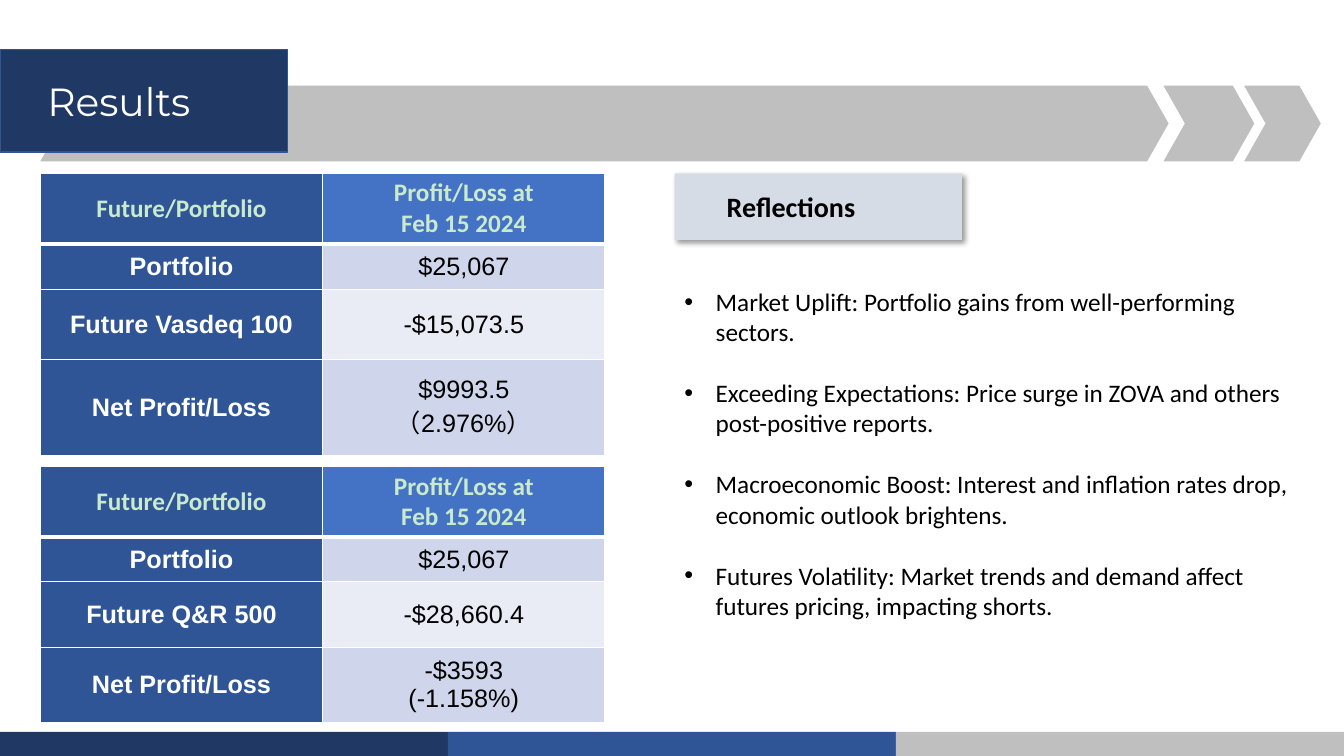
"""Build the Results slide: two profit and loss tables beside a list of reflections."""
from lxml import etree
from pptx import Presentation
from pptx.dml.color import RGBColor
from pptx.enum.shapes import MSO_SHAPE
from pptx.enum.text import MSO_ANCHOR, PP_ALIGN
from pptx.oxml import parse_xml
from pptx.util import Inches, Pt

RECTANGLE, CHEVRON = MSO_SHAPE.RECTANGLE, MSO_SHAPE.CHEVRON
MIDDLE, CENTER = MSO_ANCHOR.MIDDLE, PP_ALIGN.CENTER
NS = "http://schemas.openxmlformats.org/drawingml/2006/main"

WHITE, BLACK, GREY, MINT = "FFFFFF", "000000", "BFBFBF", "CAEACE"
NAVY, BLUE, BRIGHT_BLUE = "203864", "2F5597", "4472C4"
BAND_DARK, BAND_LIGHT, PALE = "CFD5EA", "E9EBF5", "D6DCE5"

SLIDE_WIDTH, SLIDE_HEIGHT, FOOTER_HEIGHT = 13.33, 7.5, 0.24
FOOTER_COLOURS = [NAVY, BLUE, GREY]
CHEVRONS = [(0.4, 11.19), (11.54, 0.9), (12.34, 0.76)]
HEADER = ("Future/Portfolio", "Profit/Loss at\nFeb 15 2024")
RESULTS = [
    {
        "top": 1.72,
        "heights": [0.7, 0.45, 0.7, 0.95],
        "rows": [
            HEADER,
            ("Portfolio", "$25,067"),
            ("Future Vasdeq 100", "-$15,073.5"),
            ("Net Profit/Loss", "$9993.5\n（2.976%）"),
        ],
    },
    {
        "top": 4.63,
        "heights": [0.7, 0.44, 0.65, 0.75],
        "rows": [
            HEADER,
            ("Portfolio", "$25,067"),
            ("Future Q&R 500", "-$28,660.4"),
            ("Net Profit/Loss", "-$3593\n(-1.158%)"),
        ],
    },
]
REFLECTIONS = [
    "Market Uplift: Portfolio gains from well-performing sectors.",
    "Exceeding Expectations: Price surge in ZOVA and others post-positive reports.",
    "Macroeconomic Boost: Interest and inflation rates drop, economic outlook brightens.",
    "Futures Volatility: Market trends and demand affect futures pricing, impacting shorts.",
]
TITLE_FONT = {"name": "Montserrat", "size": Pt(28), "bold": False}
HEADING_FONT = {"name": "Calibri", "size": Pt(20), "bold": True}
BODY_FONT = {"name": "Calibri", "size": Pt(18), "bold": False}
HEADER_FONT = {"name": "Calibri", "size": Pt(18), "bold": True}
LABEL_FONT = {"name": "Arial", "size": Pt(18), "bold": True}
VALUE_FONT = {"name": "Arial", "size": Pt(18), "bold": False}
CELL_FORMAT = {
    "vertical_anchor": MIDDLE,
    "margin_top": Inches(0.04),
    "margin_bottom": Inches(0.04),
}


def paint(colour_format, colour):
    colour_format.rgb = RGBColor.from_string(colour)


def fill_with(fill, colour):
    fill.solid()
    paint(fill.fore_color, colour)


def apply(target, settings):
    for key, value in settings.items():
        setattr(target, key, value)


def add_block(slide, kind, box, colour):
    block = slide.shapes.add_shape(kind, *map(Inches, box))
    block.shadow.inherit = False
    fill_with(block.fill, colour)
    block.line.fill.background()
    return block


def write(frame, lines, font, colour, align=None):
    frame.text = "\n".join(lines)
    for paragraph in frame.paragraphs:
        paragraph.alignment = align
        for run in paragraph.runs:
            apply(run.font, font)
            paint(run.font.color, colour)


def add_text(slide, box, lines, font, colour):
    frame = slide.shapes.add_textbox(*map(Inches, box)).text_frame
    frame.word_wrap = True
    write(frame, lines, font, colour)
    return frame


def border(cell, widths):
    properties = cell._tc.get_or_add_tcPr()
    for position, (side, width) in enumerate(widths.items()):
        properties.insert(position, parse_xml(
            f'<a:ln{side} xmlns:a="{NS}" w="{Pt(width)}"><a:solidFill>'
            f'<a:srgbClr val="{WHITE}"/></a:solidFill></a:ln{side}>'))


def cell_style(row, column):
    if row == 0:
        return HEADER_FONT, MINT, (BLUE, BRIGHT_BLUE)[column]
    if column == 0:
        return LABEL_FONT, WHITE, BLUE
    return VALUE_FONT, BLACK, BAND_DARK if row % 2 else BAND_LIGHT


def add_result(slide, top, heights, rows):
    box = (0.4, top, 5.6, sum(heights))
    grid = slide.shapes.add_table(len(rows), 2, *map(Inches, box)).table
    for row, (height, texts) in enumerate(zip(heights, rows)):
        grid.rows[row].height = Inches(height)
        for column, text in enumerate(texts):
            cell = grid.cell(row, column)
            font, colour, background = cell_style(row, column)
            apply(cell, CELL_FORMAT)
            write(cell.text_frame, text.split("\n"), font, colour, CENTER)
            fill_with(cell.fill, background)
            border(cell, {"L": 1, "R": 1, "T": 3 if row == 1 else 1, "B": 3 if row == 0 else 1})


def add_shadow(block):
    effects = block._element.spPr.find(f"{{{NS}}}effectLst")
    effects.append(parse_xml(
        f'<a:outerShdw xmlns:a="{NS}" blurRad="{Pt(4)}" dist="{Pt(3)}" dir="2700000" '
        f'algn="tl" rotWithShape="0"><a:srgbClr val="{BLACK}"><a:alpha val="40000"/>'
        '</a:srgbClr></a:outerShdw>'))


def add_bullets(frame):
    for index, paragraph in enumerate(frame.paragraphs):
        paragraph.space_before = Pt(22 if index else 0)
        properties = paragraph._p.get_or_add_pPr()
        properties.set("marL", str(Inches(0.31)))
        properties.set("indent", str(Inches(-0.31)))
        etree.SubElement(properties, f"{{{NS}}}buFont", typeface="Arial")
        etree.SubElement(properties, f"{{{NS}}}buChar", char="•")


def main():
    deck = Presentation()
    deck.slide_width, deck.slide_height = Inches(SLIDE_WIDTH), Inches(SLIDE_HEIGHT)
    slide = deck.slides.add_slide(deck.slide_layouts[6])
    fill_with(slide.background.fill, WHITE)

    for left, width in CHEVRONS:
        arrow = add_block(slide, CHEVRON, (left, 0.85, width, 0.75), GREY)
        arrow.adjustments[0] = 0.283
    banner = add_block(slide, RECTANGLE, (0, 0.49, 2.85, 1.02), NAVY)
    fill_with(banner.line.fill, "325491")
    banner.line.width = Pt(1)

    footer_width = SLIDE_WIDTH / len(FOOTER_COLOURS)
    for index, colour in enumerate(FOOTER_COLOURS):
        box = (index * footer_width, SLIDE_HEIGHT - FOOTER_HEIGHT, footer_width, FOOTER_HEIGHT)
        add_block(slide, RECTANGLE, box, colour)

    title = add_text(slide, (0.27, 0.72, 6.26, 0.57), ["Results"], TITLE_FONT, WHITE)
    title.margin_left = Inches(0.2)
    for result in RESULTS:
        add_result(slide, **result)

    add_shadow(add_block(slide, RECTANGLE, (6.69, 1.72, 2.85, 0.66), PALE))
    add_text(slide, (7.11, 1.83, 2, 0.44), ["Reflections"], HEADING_FONT, BLACK)
    add_bullets(add_text(slide, (6.69, 2.79, 6.26, 3.43), REFLECTIONS, BODY_FONT, BLACK))
    deck.save("out.pptx")


if __name__ == "__main__":
    main()
